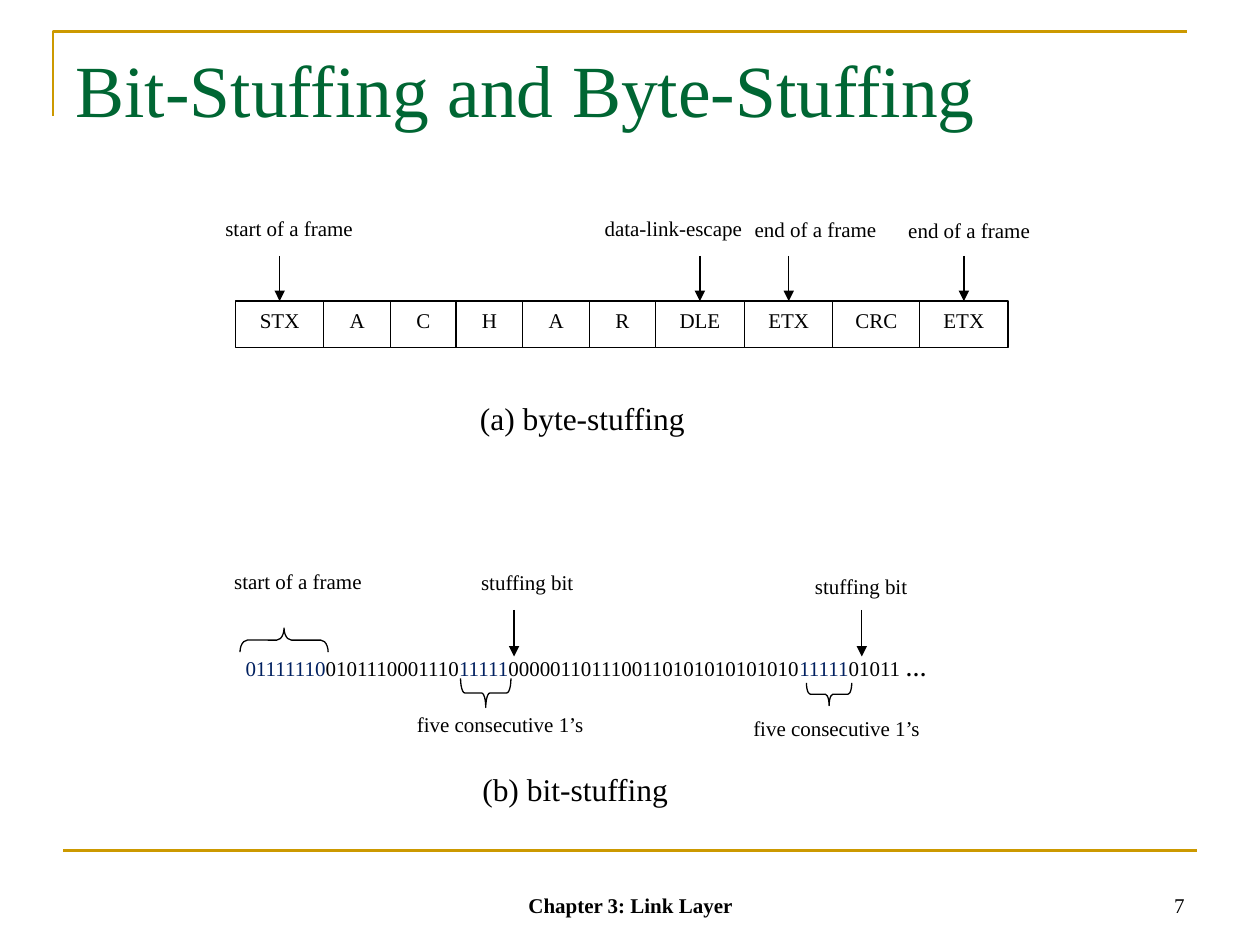
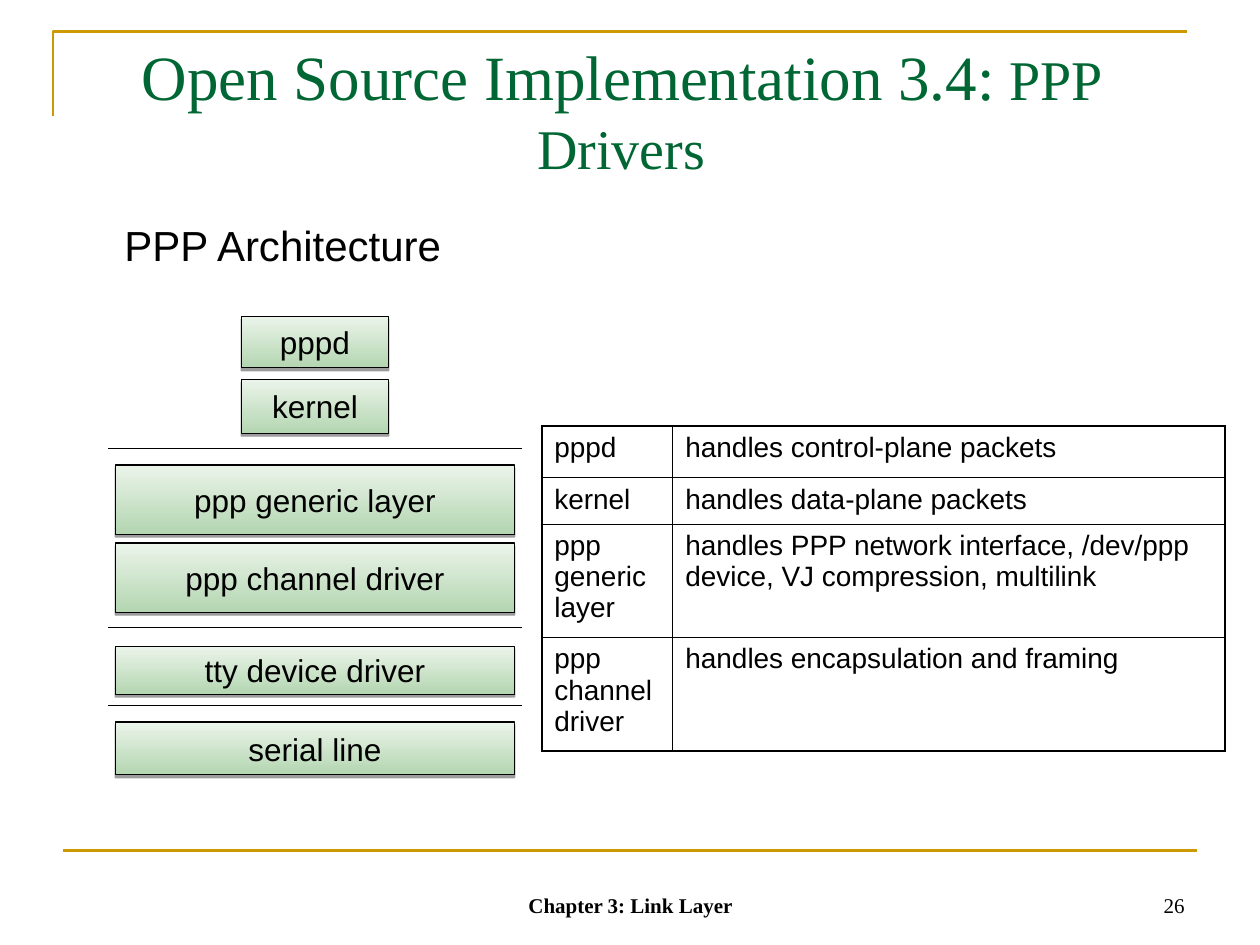
from lxml import etree
from pptx import Presentation
from pptx.dml.color import RGBColor
from pptx.enum.shapes import MSO_CONNECTOR, MSO_SHAPE
from pptx.enum.text import MSO_ANCHOR, MSO_AUTO_SIZE, PP_ALIGN
from pptx.oxml.ns import qn
from pptx.util import Inches, Pt

BLACK = RGBColor(0x00, 0x00, 0x00)
WHITE = RGBColor(0xFF, 0xFF, 0xFF)
GOLD = RGBColor(0xCC, 0x99, 0x00)
TITLE_GREEN = RGBColor(0x00, 0x66, 0x33)
BIT_BLUE = RGBColor(0x00, 0x20, 0x60)
LAYER_DARK = RGBColor(0xB4, 0xD6, 0xB1)
LAYER_LIGHT = RGBColor(0xEB, 0xF4, 0xEA)
SERIF = "Times New Roman"
SANS = "Arial"
FOOTER = "Chapter 3: Link Layer"
THIN = 0.75


def inches(*values):
    return [Inches(value) for value in values]


def format_run(run, size, font=SERIF, color=BLACK, bold=False):
    run.font.size = Pt(size)
    run.font.name = font
    run.font.color.rgb = color
    run.font.bold = bold


def write_text(text_frame, text, size, font=SERIF, bold=False, align=PP_ALIGN.LEFT):
    text_frame.text = text
    paragraph = text_frame.paragraphs[0]
    paragraph.alignment = align
    format_run(paragraph.runs[0], size, font, bold=bold)


def add_text(slide, box, text, size=12, anchor=MSO_ANCHOR.TOP, **style):
    text_frame = slide.shapes.add_textbox(*inches(*box)).text_frame
    text_frame.word_wrap = True
    text_frame.vertical_anchor = anchor
    write_text(text_frame, text, size, **style)


def add_runs(paragraph, pieces):
    for text, style in pieces:
        run = paragraph.add_run()
        run.text = text
        format_run(run, **style)


def add_line(slide, start, end, color=BLACK, width=THIN, arrow=False):
    line = slide.shapes.add_connector(MSO_CONNECTOR.STRAIGHT, *inches(*start, *end))
    line.line.color.rgb = color
    line.line.width = Pt(width)
    properties = line._element.spPr
    if arrow:
        etree.SubElement(properties.find(qn("a:ln")), qn("a:tailEnd"), type="triangle")
    etree.SubElement(properties, qn("a:effectLst"))
    return line


def add_outlined_shape(slide, kind, box):
    shape = slide.shapes.add_shape(kind, *inches(*box))
    shape.shadow.inherit = False
    shape.line.color.rgb = BLACK
    shape.line.width = Pt(THIN)
    return shape


def add_frame_cell(slide, box, text):
    cell = add_outlined_shape(slide, MSO_SHAPE.RECTANGLE, box)
    cell.fill.solid()
    cell.fill.fore_color.rgb = WHITE
    cell.text_frame.vertical_anchor = MSO_ANCHOR.TOP
    write_text(cell.text_frame, text, 12, align=PP_ALIGN.CENTER)
    return cell


def add_brace(slide, box, rotation):
    depth, length = box[2:]
    brace = add_outlined_shape(slide, MSO_SHAPE.RIGHT_BRACE, box)
    brace.fill.background()
    brace.rotation = rotation
    brace.adjustments[0] = length / 12 / depth


def add_layer(slide, box, text):
    layer = add_outlined_shape(slide, MSO_SHAPE.RECTANGLE, box)
    layer.fill.gradient()
    layer.fill.gradient_angle = 90
    for stop, color in zip(layer.fill.gradient_stops, (LAYER_DARK, LAYER_LIGHT)):
        stop.color.rgb = color
    effects = layer._element.spPr.find(qn("a:effectLst"))
    shadow = etree.SubElement(effects, qn("a:outerShdw"), blurRad="0",
                              dist=str(Pt(1.6)), dir="5400000", rotWithShape="0")
    color = etree.SubElement(shadow, qn("a:srgbClr"), val=str(BLACK))
    etree.SubElement(color, qn("a:alpha"), val="38000")
    layer.text_frame.word_wrap = False
    layer.text_frame.vertical_anchor = MSO_ANCHOR.MIDDLE
    write_text(layer.text_frame, text, 18, SANS, align=PP_ALIGN.CENTER)


def set_borders(cell, widths):
    properties = cell._tc.get_or_add_tcPr()
    for index, (side, width) in enumerate(widths.items()):
        border = etree.Element(qn(f"a:ln{side}"), w=str(Pt(width)))
        fill = etree.SubElement(border, qn("a:solidFill"))
        etree.SubElement(fill, qn("a:srgbClr"), val=str(BLACK))
        properties.insert(index, border)


def add_grid(slide, box, rows, widths, heights):
    inner, outer = 0.45, 1.08
    table = slide.shapes.add_table(len(rows), len(widths), *inches(*box)).table
    table.first_row = table.horz_banding = False
    for column, width in zip(table.columns, widths):
        column.width = Inches(width)
    for row, height in zip(table.rows, heights):
        row.height = Inches(height)
    last_row, last_column = len(rows) - 1, len(widths) - 1
    for i, row in enumerate(rows):
        for j, text in enumerate(row):
            cell = table.cell(i, j)
            cell.fill.background()
            write_text(cell.text_frame, text, 16, SANS)
            set_borders(cell, {
                "L": outer if j == 0 else inner,
                "R": outer if j == last_column else inner,
                "T": outer if i == 0 else inner,
                "B": outer if i == last_row else inner,
            })


def add_page(presentation, number, title_box, title_pieces, align=PP_ALIGN.LEFT):
    slide = presentation.slides.add_slide(presentation.slide_layouts[5])
    corner = slide.shapes.build_freeform(*inches(0.42, 0.92))
    corner.add_line_segments([inches(0.42, 0.25), inches(9.42, 0.25)], close=False)
    band = corner.convert_to_shape()
    band.shadow.inherit = False
    band.fill.background()
    band.line.color.rgb = GOLD
    band.line.width = Pt(1.5)
    add_line(slide, (0.5, 6.75), (9.5, 6.75), GOLD, 1.5)

    title = slide.shapes.title
    title.left, title.top, title.width, title.height = inches(*title_box)
    title.text_frame.auto_size = MSO_AUTO_SIZE.NONE
    title.text_frame.vertical_anchor = MSO_ANCHOR.TOP
    paragraph = title.text_frame.paragraphs[0]
    paragraph.alignment = align
    add_runs(paragraph, [(text, {"size": size, "color": TITLE_GREEN})
                         for text, size in title_pieces])

    add_text(slide, (3.42, 6.83, 3.17, 0.5), FOOTER, anchor=MSO_ANCHOR.BOTTOM,
             bold=True, align=PP_ALIGN.CENTER)
    add_text(slide, (7.17, 6.83, 2.33, 0.5), str(number), anchor=MSO_ANCHOR.BOTTOM,
             align=PP_ALIGN.RIGHT)
    return slide


def add_byte_stuffing(slide):
    fields = [("STX", 0.7), ("A", 0.53), ("C", 0.52), ("H", 0.53), ("A", 0.53),
              ("R", 0.52), ("DLE", 0.71), ("ETX", 0.7), ("CRC", 0.69), ("ETX", 0.7)]
    labels = {
        0: ("start of a frame", 1.69, 1.66, 1.41),
        6: ("data-link-escape", 4.7, 1.66, 1.59),
        7: ("end of a frame", 5.89, 1.67, 1.41),
        9: ("end of a frame", 7.11, 1.68, 1.41),
    }
    left, top = 1.87, 2.39
    for index, (name, width) in enumerate(fields):
        cell = add_frame_cell(slide, (left, top, width, 0.37), name)
        if index in labels:
            text, label_left, label_top, label_width = labels[index]
            add_text(slide, (label_left, label_top, label_width, 0.55), text)
            center = left + width / 2
            arrow = add_line(slide, (center, 2.03), (center, top), arrow=True)
            arrow.end_connect(cell, 0)
        left += width
    add_text(slide, (3.71, 3.12, 1.99, 0.55), "(a) byte-stuffing", 18)


def add_bit_stuffing(slide):
    bits = slide.shapes.add_textbox(*inches(1.85, 5.15, 7.28, 0.37)).text_frame
    bits.word_wrap = True
    pieces = [("01111110", BIT_BLUE), ("0101110001110", BLACK), ("11111", BIT_BLUE),
              ("0000011011100110101010101010", BLACK), ("11111", BIT_BLUE),
              ("01011 ", BLACK), ("…", BLACK)]
    add_runs(bits.paragraphs[0], [(text, {"size": 12, "color": color, "bold": text == "…"})
                                  for text, color in pieces])
    labels = [
        ("start of a frame", 1.76, 4.46, 1.41),
        ("stuffing bit", 3.72, 4.47, 1.13),
        ("stuffing bit", 6.37, 4.5, 1.13),
        ("five consecutive 1’s", 3.21, 5.6, 1.65),
        ("five consecutive 1’s", 5.88, 5.63, 1.65),
    ]
    for text, left, top, width in labels:
        add_text(slide, (left, top, width, 0.55), text)
    for x in (4.08, 6.84):
        add_line(slide, (x, 4.84), (x, 5.21), arrow=True)
    add_brace(slide, (2.16, 4.73, 0.19, 0.7), 270)
    add_brace(slide, (3.74, 5.3, 0.23, 0.4), 90)
    add_brace(slide, (6.49, 5.33, 0.18, 0.36), 90)
    add_text(slide, (3.73, 6.06, 2.14, 0.55), "(b) bit-stuffing", 18)


def add_ppp_architecture(slide):
    add_text(slide, (0.81, 1.69, 2.87, 0.5), "PPP Architecture", 24,
             font=SANS, align=PP_ALIGN.CENTER)
    layers = [("pppd", 2.51, 1.17, 0.41), ("kernel", 3.01, 1.17, 0.43),
              ("ppp generic layer", 3.69, 3.17, 0.55),
              ("ppp channel driver", 4.31, 3.17, 0.55),
              ("tty device driver", 5.13, 3.17, 0.38), ("serial line", 5.73, 3.17, 0.42)]
    center = 2.5
    for text, top, width, height in layers:
        add_layer(slide, (center - width / 2, top, width, height), text)
    for y in (3.56, 4.98, 5.6):
        add_line(slide, (0.86, y), (4.14, y))


def main():
    presentation = Presentation()
    presentation.slide_width, presentation.slide_height = inches(10, 7.5)

    stuffing = add_page(presentation, 7, (0.5, 0.3, 9, 1.25),
                        [("Bit-Stuffing and Byte-Stuffing", 42)])
    add_byte_stuffing(stuffing)
    add_bit_stuffing(stuffing)

    drivers = add_page(presentation, 26, (0.37, 0.25, 9.12, 0.93),
                       [("Open Source Implementation 3.4:", 36), (" PPP Drivers", 32)],
                       PP_ALIGN.CENTER)
    add_ppp_architecture(drivers)
    add_grid(drivers, (4.3, 3.38, 5.42, 2.58), [
        ("pppd", "handles control-plane packets"),
        ("kernel", "handles data-plane packets"),
        ("ppp generic layer",
         "handles PPP network interface, /dev/ppp device, VJ compression, multilink"),
        ("ppp channel driver", "handles encapsulation and framing"),
    ], (1.04, 4.38), (0.41, 0.37, 0.9, 0.9))

    presentation.save("out.pptx")


if __name__ == "__main__":
    main()
